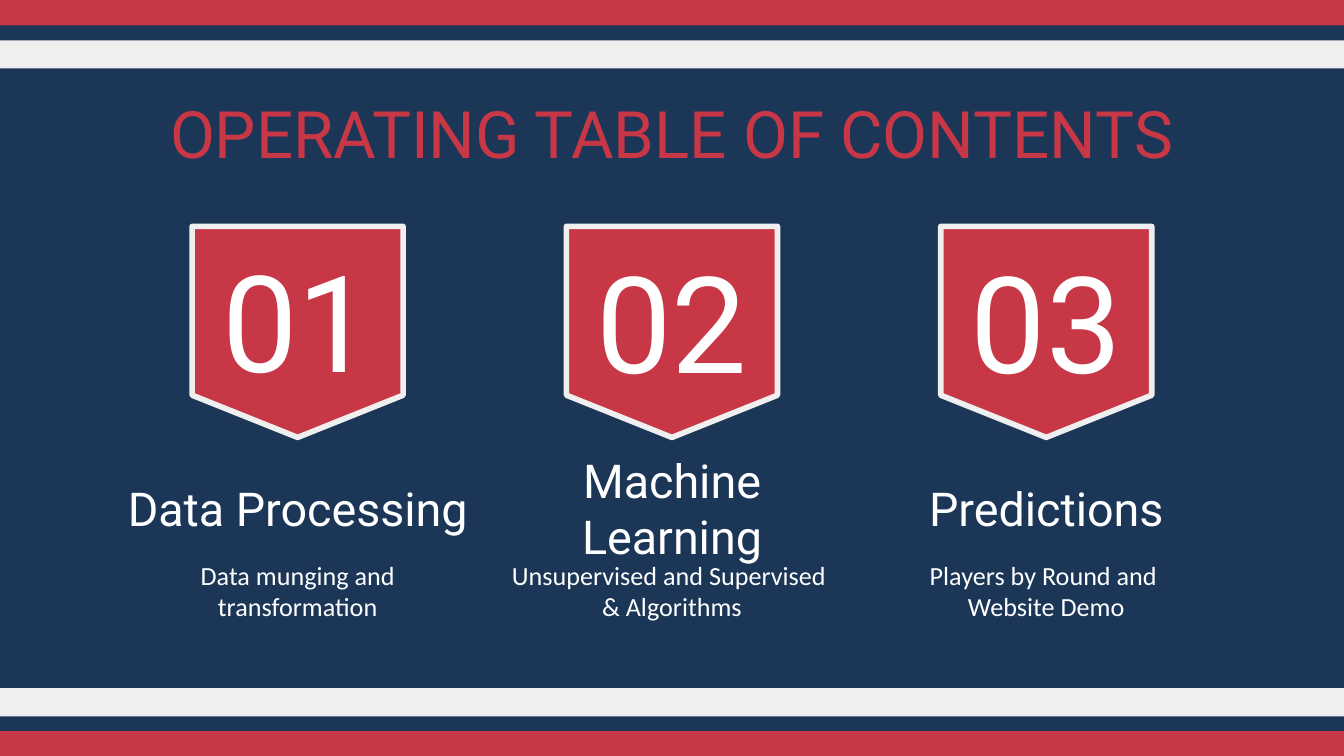
from lxml import etree
from pptx import Presentation
from pptx.dml.color import RGBColor
from pptx.enum.shapes import MSO_SHAPE
from pptx.enum.text import MSO_ANCHOR, MSO_AUTO_SIZE, PP_ALIGN
from pptx.oxml.ns import qn
from pptx.util import Emu, Pt

RECTANGLE = MSO_SHAPE.RECTANGLE
PENNANT = MSO_SHAPE.FLOWCHART_OFFPAGE_CONNECTOR
TOP, MIDDLE = MSO_ANCHOR.TOP, MSO_ANCHOR.MIDDLE
CENTER = PP_ALIGN.CENTER
NO_AUTOFIT = MSO_AUTO_SIZE.NONE

EMU_PER_PX = 4572  # 200 px to the inch
PAGE_WIDTH, PAGE_HEIGHT = 2000, 1125
TITLE_ONLY_LAYOUT = 5
INSET = 20
COLUMN_PITCH = 557
COLUMN_WIDTH = 570
BADGE_SIZE = 314
BADGE_TOP = 337
NUMBER_WIDTH = 468
STRIPE_HEIGHT = 42

COLORS = {"navy": "1B3657", "red": "C83746", "light": "EFEFEF", "white": "FFFFFF"}
STRIPES = [(-4, "red"), (60, "light"), (1024, "light"), (1088, "red")]
SECTIONS = [
    ("01", 337, "Data Processing", ["Data munging and transformation"]),
    ("02", 339, "Machine Learning", ["Unsupervised and Supervised ", "& Algorithms"]),
    ("03", 339, "Predictions", ["Players by Round and ", "Website Demo"]),
]


def px(length):
    return Emu(length * EMU_PER_PX)


def rgb(name):
    return RGBColor.from_string(COLORS[name])


def place(box, left, top, width, height):
    box.left, box.top = px(left), px(top)
    box.width, box.height = px(width), px(height)


def write(box, lines, size, font="Roboto", color="white", anchor=MIDDLE):
    """Fill a text box or placeholder with centred lines, one paragraph each."""
    frame = box.text_frame
    frame.word_wrap = True
    frame.auto_size = NO_AUTOFIT
    frame.vertical_anchor = anchor
    frame.margin_left = frame.margin_right = px(INSET)
    frame.margin_top = frame.margin_bottom = px(INSET)
    for index, line in enumerate(lines):
        para = frame.add_paragraph() if index else frame.paragraphs[0]
        para.alignment = CENTER
        span = para.add_run()
        span.text = line
        span.font.size = Pt(size)
        span.font.name = font
        span.font.color.rgb = rgb(color)


def add_text(page, center, top, width, height, lines, size, font="Roboto"):
    box = page.shapes.add_textbox(0, 0, 0, 0)
    place(box, center - width // 2, top, width, height)
    write(box, lines, size, font)


def add_filled_shape(page, kind, left, top, width, height, color):
    shape = page.shapes.add_shape(kind, px(left), px(top), px(width), px(height))
    shape.shadow.inherit = False
    shape.fill.solid()
    shape.fill.fore_color.rgb = rgb(color)
    shape.line.fill.background()
    return shape


def add_badge(page, center):
    left = center - BADGE_SIZE // 2
    badge = add_filled_shape(
        page, PENNANT, left, BADGE_TOP, BADGE_SIZE, BADGE_SIZE, "red"
    )
    badge.line.color.rgb = rgb("light")
    badge.line.width = Pt(3)
    outline = badge.element.spPr.find(qn("a:ln"))
    etree.SubElement(outline, qn("a:round"))


def add_section(page, center, number, number_top, heading, caption):
    add_badge(page, center)
    add_text(page, center, number_top, NUMBER_WIDTH, 274, [number], 72)
    add_text(page, center, 697, COLUMN_WIDTH, 116, [heading], 25)
    add_text(page, center, 826, COLUMN_WIDTH, 106, caption, 14, "Calibri")


def main():
    deck = Presentation()
    deck.slide_width, deck.slide_height = px(PAGE_WIDTH), px(PAGE_HEIGHT)
    page = deck.slides.add_slide(deck.slide_layouts[TITLE_ONLY_LAYOUT])
    page.background.fill.solid()
    page.background.fill.fore_color.rgb = rgb("navy")

    for top, color in STRIPES:
        add_filled_shape(page, RECTANGLE, 0, top, PAGE_WIDTH, STRIPE_HEIGHT, color)

    title = page.shapes.title
    place(title, 157, 118, 1686, 126)
    write(title, ["OPERATING TABLE OF CONTENTS"], 35, color="red", anchor=TOP)

    for column, section in enumerate(SECTIONS):
        center = PAGE_WIDTH // 2 + (column - 1) * COLUMN_PITCH
        add_section(page, center, *section)

    deck.save("out.pptx")


if __name__ == "__main__":
    main()
